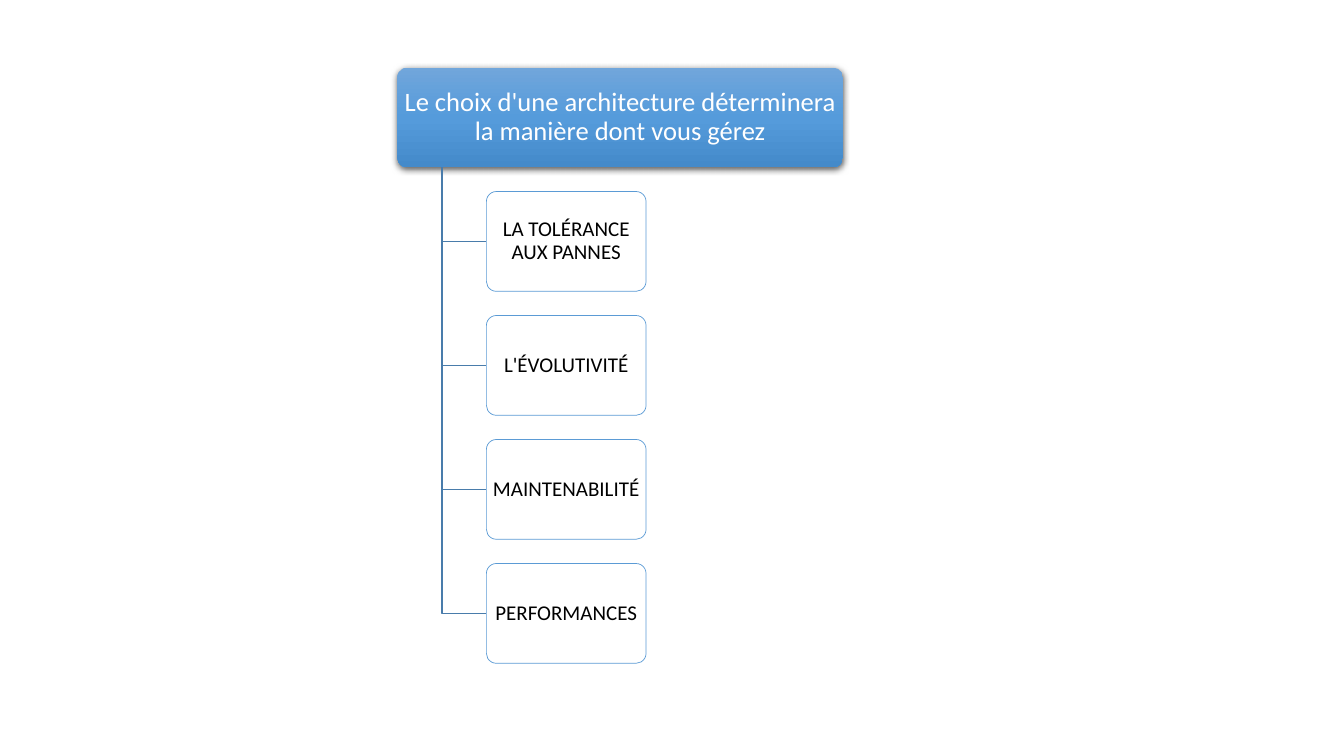
from copy import deepcopy

from lxml import etree
from pptx import Presentation
from pptx import util as u
from pptx.dml.color import RGBColor
from pptx.enum import shapes, text
from pptx.oxml.ns import qn

COLORS = {"top": "71A6DB", "middle": "559BDB", "bottom": "448ACA", "branch": "497CAB",
          "border": "5B9BD5", "white": "FFFFFF", "black": "000000"}
TITLE = "Le choix d'une architecture déterminera la manière dont vous gérez"
ITEMS = ["LA TOLÉRANCE AUX PANNES", "L'ÉVOLUTIVITÉ", "MAINTENABILITÉ", "PERFORMANCES"]
BOX_H = 0.99
PITCH = 1.23


def rgb(name):
    return RGBColor.from_string(COLORS[name])


def add_box(s, box, label, size, color):
    sp = s.shapes.add_shape(shapes.MSO_SHAPE.ROUNDED_RECTANGLE, *map(u.Inches, box))
    sp.adjustments[0] = 0.1
    sp.shadow.inherit = False
    tf = sp.text_frame
    tf.word_wrap = True
    tf.vertical_anchor = text.MSO_ANCHOR.MIDDLE
    tf.margin_left = tf.margin_right = u.Inches(0.03)
    tf.margin_top = tf.margin_bottom = u.Inches(0.02)
    p = tf.paragraphs[0]
    p.text = label
    p.alignment = text.PP_ALIGN.CENTER
    p.line_spacing = 0.9
    p.font.name, p.font.size = "Calibri", u.Pt(size)
    p.font.color.rgb = rgb(color)
    return sp


def add_header(s, box):
    """Place the title box with its three-stop gradient and soft shadow."""
    sp = add_box(s, box, TITLE, 19, "white")
    sp.line.fill.background()
    sp.fill.gradient()
    sp.fill.gradient_angle = 270
    stops = sp._element.spPr.find(f".//{qn('a:gsLst')}")
    stops.insert(1, deepcopy(stops[0]))
    for i, (stop, name) in enumerate(zip(sp.fill.gradient_stops, ("top", "middle", "bottom"))):
        stop.position = i / 2
        stop.color.rgb = rgb(name)
    effects = sp._element.spPr.find(qn("a:effectLst"))
    shadow = etree.SubElement(effects, qn("a:outerShdw"), blurRad=str(u.Pt(4.5)),
                              dist=str(u.Pt(1.5)), dir="5400000", rotWithShape="0")
    clr = etree.SubElement(shadow, qn("a:srgbClr"), val=COLORS["black"])
    etree.SubElement(clr, qn("a:alpha"), val="63000")


def add_branch(s, x, y, x_end, y_end):
    """Draw an elbow line, first down and then right."""
    path = s.shapes.build_freeform(u.Inches(x), u.Inches(y))
    path.add_line_segments([(u.Inches(x), u.Inches(y_end)),
                            (u.Inches(x_end), u.Inches(y_end))], close=False)
    sp = path.convert_to_shape()
    sp.shadow.inherit = False
    sp.fill.background()
    sp.line.color.rgb = rgb("branch")
    sp.line.width = u.Pt(1)


def add_item(s, box, label):
    sp = add_box(s, box, label, 15, "black")
    sp.fill.solid()
    sp.fill.fore_color.rgb = rgb("white")
    clr = sp._element.spPr.find(f"{qn('a:solidFill')}/{qn('a:srgbClr')}")
    etree.SubElement(clr, qn("a:alpha"), val="90000")
    sp.line.color.rgb = rgb("border")
    sp.line.width = u.Pt(0.5)


def add_hierarchy(s, left, top, width):
    """Place the header and, a fifth of its width in, the items hanging from it."""
    add_header(s, (left, top, width, BOX_H))
    trunk, item_x = left + width * 0.1, left + width * 0.2
    for row, label in enumerate(ITEMS, 1):
        y = top + row * PITCH
        add_branch(s, trunk, top + BOX_H, item_x, y + BOX_H / 2)
        add_item(s, (item_x, y, BOX_H * 1.6, BOX_H), label)


def main():
    prs = Presentation()
    prs.slide_width, prs.slide_height = u.Inches(13.33), u.Inches(7.5)
    s = prs.slides.add_slide(prs.slide_layouts[6])
    add_hierarchy(s, 3.94, 0.67, 4.42)
    prs.save("out.pptx")


if __name__ == "__main__":
    main()
